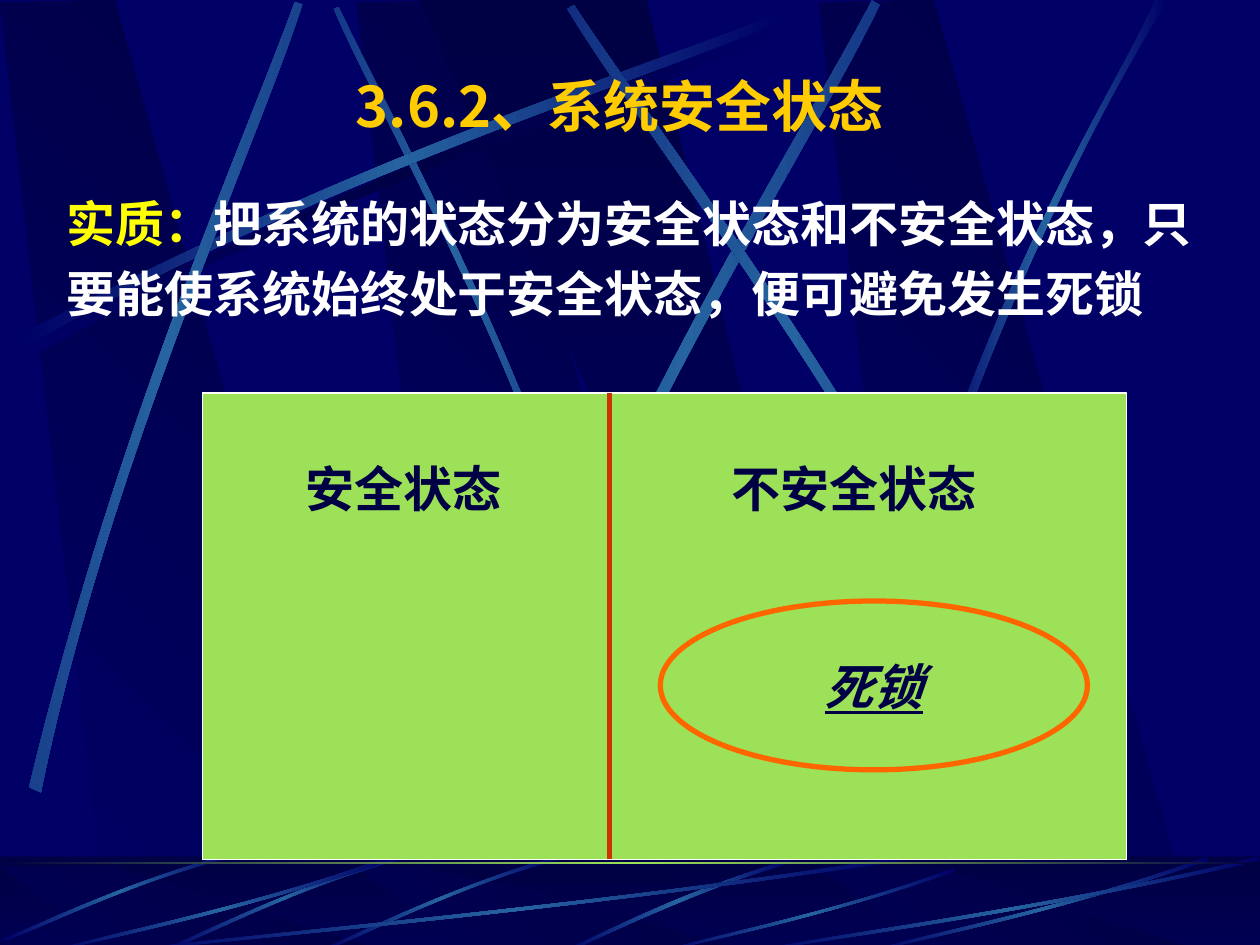
import pptx
import pptx.util
import pptx.dml.color
import pptx.enum.shapes
import pptx.enum.text
import pptx.oxml
import pptx.oxml.ns
from pptx.util import Inches

FONT = "Noto Sans CJK SC"
NAVY, DARK, STEEL, GREEN = "000066", "000044", "2663A0", "9CE157"
KIND = pptx.enum.shapes.MSO_SHAPE
ANCHOR = pptx.enum.text.MSO_ANCHOR
ALIGN = pptx.enum.text.PP_ALIGN
SPACE = pptx.oxml.ns.nsdecls("a")
qn = pptx.oxml.ns.qn

# Outlines in percent of their box
SHARD = [(28.5, 99.7), (100, 100), (30.1, 0), (0, 0.3)]
BEAM = [(0, 0), (90, 100), (100, 100), (49.9, 0)]
# Streaks: one cubic curve out, one cubic curve back
LONG = [(0, 96.3), (43.4, 43.4), (82.9, 15.4), (99.6, 0),
        (100, 2.2), (83.5, 19.1), (38.5, 49.8), (0.5, 100)]
TALL = [(0, 99), (40.2, 43.6), (79.4, 16.6), (94.7, 0),
        (100, 0), (51.9, 36.5), (16.4, 81.1), (3.2, 100)]
BOW = [(99.4, 0), (49.4, 37), (16.1, 82.2), (0, 98.6),
       (2.8, 100), (23.3, 75.3), (68.3, 24.7), (100, 4.1)]
LOW = [(100, 4), (56.7, 57.3), (17.2, 85.3), (0.5, 100),
       (0, 98.7), (16.5, 81.3), (61.5, 50.7), (99.5, 0)]


def rgb(code):
    return pptx.dml.color.RGBColor.from_string(code)


def fade(item, colors, angle):
    """Fill with evenly spaced colours; the angle runs clockwise."""
    item.fill.gradient()
    grad = item._element.spPr.find(qn("a:gradFill"))
    grad.set("rotWithShape", "0")
    for child in list(grad):
        grad.remove(child)
    step = 100000 // (len(colors) - 1)
    stops = "".join(
        f'<a:gs pos="{i * step}"><a:srgbClr val="{code}"/></a:gs>'
        for i, code in enumerate(colors))
    grad.append(pptx.oxml.parse_xml(f"<a:gsLst {SPACE}>{stops}</a:gsLst>"))
    grad.append(pptx.oxml.parse_xml(
        f'<a:lin {SPACE} ang="{angle * 60000}" scaled="0"/>'))


def shape(part, kind, box, color=None, line=None, width=0.75):
    item = part.shapes.add_shape(kind, *map(Inches, box))
    item.shadow.inherit = False
    if color:
        item.fill.solid()
        item.fill.fore_color.rgb = rgb(color)
    if line:
        item.line.color.rgb = rgb(line)
        item.line.width = pptx.util.Pt(width)
    else:
        item.line.fill.background()
    return item


def trace(part, box, points, colors, angle):
    """Draw a closed outline given in percent of the box."""
    left, top, wide, high = box
    spots = [(Inches(left + x * wide / 100), Inches(top + y * high / 100))
             for x, y in points]
    form = part.shapes.build_freeform(*spots[0])
    form.add_line_segments(spots[1:], close=True)
    item = form.convert_to_shape()
    item.shadow.inherit = False
    item.line.fill.background()
    fade(item, colors, angle)
    return item


def bend(item):
    """Turn each side of a streak from three lines into one cubic curve."""
    lines = list(item._element.iter(qn("a:lnTo")))
    for side in (lines[:3], lines[4:7]):
        cubic = pptx.oxml.parse_xml(f"<a:cubicBezTo {SPACE}/>")
        side[0].addprevious(cubic)
        for line in side:
            cubic.append(line[0])
            line.getparent().remove(line)


def streak(part, box, points, turn=0, flip=False, colors=(NAVY, STEEL, NAVY)):
    if flip:
        points = [(100 - x, y) for x, y in points]
    item = trace(part, box, points, colors, 0)
    bend(item)
    item.rotation = turn


def shards(part, top, high):
    for left in (2.83, 0, 6.5):
        trace(part, (left, top, 3.02, high), SHARD, (NAVY, DARK), 315)
    trace(part, (3.33, top, 3.61, high), BEAM, (DARK, NAVY), 90)


def sky(part):
    shards(part, 0, 7.52)
    streak(part, (0.2, 0.18, 6.08, 2.67), LONG, colors=(NAVY, DARK, NAVY))
    streak(part, (1.41, 1.35, 4.42, 1.75), LONG, 45, True)
    streak(part, (0.14, 0.1, 6.08, 2.67), LONG)
    streak(part, (-1.71, 1.82, 6.08, 2.67), LONG, 311.7)
    streak(part, (2.31, 1.6, 6.24, 3.01), LONG, 321.6)
    streak(part, (3.23, 1.52, 6.08, 2.67), LONG, 34.8, True)
    streak(part, (7.38, 0, 1.89, 3.97), TALL)


def floor(part, top):
    high = 0.75
    fade(shape(part, KIND.RECTANGLE, (0, top, 10, high)), (DARK, NAVY), 90)
    shards(part, top + 0.08, 0.66)
    veil = shape(part, KIND.RECTANGLE, (0, top - 0.01, 10, high), DARK)
    tint = veil._element.spPr.find(".//" + qn("a:srgbClr"))
    tint.append(pptx.oxml.parse_xml(f'<a:alpha {SPACE} val="50000"/>'))
    streak(part, (4.48, top + 0.02, 1.8, 0.73), BOW)
    for box in ((2.58, top - 0.04, 1.84, 0.83), (1.33, top - 0.04, 1.84, 0.83),
                (0.05, top - 0.1, 1.79, 0.85)):
        streak(part, box, LONG, 314.9, True)
    for left, drop, wide in ((1, 0, 6.17), (0.42, 0, 2.67), (5.27, 0.09, 2.31),
                             (6.92, 0, 2.67), (6, 0, 4)):
        streak(part, (left, top + drop, wide, high - drop), LOW)
    edge = shape(part, KIND.RECTANGLE, (0, top + 0.04, 10, 0.02))
    fade(edge, (DARK, GREEN, DARK), 0)


def write(item, *runs, size=28, align=ALIGN.LEFT, anchor=ANCHOR.TOP,
          wrap=True, space=None, italic=None, under=None):
    """Fill a shape with one paragraph of (text, colour) runs."""
    frame = item.text_frame
    frame.word_wrap = wrap
    frame.vertical_anchor = anchor
    para = frame.paragraphs[0]
    para.alignment = align
    para.line_spacing = space
    for text, color in runs:
        run = para.add_run()
        run.text = text
        font = run.font
        font.name, font.size, font.bold = FONT, pptx.util.Pt(size), True
        font.italic, font.underline = italic, under
        font.color.rgb = rgb(color)
        font._element.find(qn("a:latin")).addnext(
            pptx.oxml.parse_xml(f'<a:ea {SPACE} typeface="{FONT}"/>'))


def label(part, box, *runs, **style):
    write(part.shapes.add_textbox(*map(Inches, box)), *runs, **style)


def states(slide, box):
    left, top, wide, high = box
    safe = 3.23
    split = left + safe
    chart = slide.shapes.add_group_shape()
    for x, w in ((left, safe), (split, wide - safe)):
        shape(chart, KIND.RECTANGLE, (x, top, w, high), GREEN, "FFFFFF")
    for x, w, text in ((split + 0.87, 2.14, "不安全状态"),
                       (left + 0.72, 1.75, "安全状态")):
        label(chart, (x, top + 0.47, w, 0.57), (text, DARK), wrap=False)
    wall = chart.shapes.add_connector(
        pptx.enum.shapes.MSO_CONNECTOR.STRAIGHT,
        *map(Inches, (split, top, split, top + high)))
    wall.line.color.rgb = rgb("CC3300")
    wall.line.width = pptx.util.Pt(3)
    wall._element.spPr.append(
        pptx.oxml.parse_xml(f"<a:effectLst {SPACE}/>"))
    lock = shape(slide, KIND.OVAL, (split + 0.4, top + 1.65, 3.39, 1.34),
                 GREEN, "FF6600", 3)
    write(lock, ("死锁", DARK), align=ALIGN.CENTER, anchor=ANCHOR.MIDDLE,
          wrap=False, italic=True, under=True)


def main():
    deck = pptx.Presentation()
    deck.slide_width, deck.slide_height = Inches(10), Inches(7.5)
    slide = deck.slides.add_slide(deck.slide_layouts[6])
    slide.background.fill.solid()
    slide.background.fill.fore_color.rgb = rgb(NAVY)
    scene = slide.shapes.add_group_shape()
    sky(scene)
    floor(scene, 6.8)
    label(slide, (0.67, 0.52, 8.5, 0.63), ("3.6.2、系统安全状态", "FFCC00"),
          size=32, align=ALIGN.CENTER, anchor=ANCHOR.MIDDLE)
    states(slide, (1.61, 3.12, 7.33, 3.7))
    label(slide, (0.43, 1.39, 9.37, 1.22), ("实质：", "FFFF00"),
          ("把系统的状态分为安全状态和不安全状态，只要能使系统始终处于安全状态，"
           "便可避免发生死锁", "FFFFFF"), space=1.2)
    deck.save("out.pptx")


if __name__ == "__main__":
    main()
